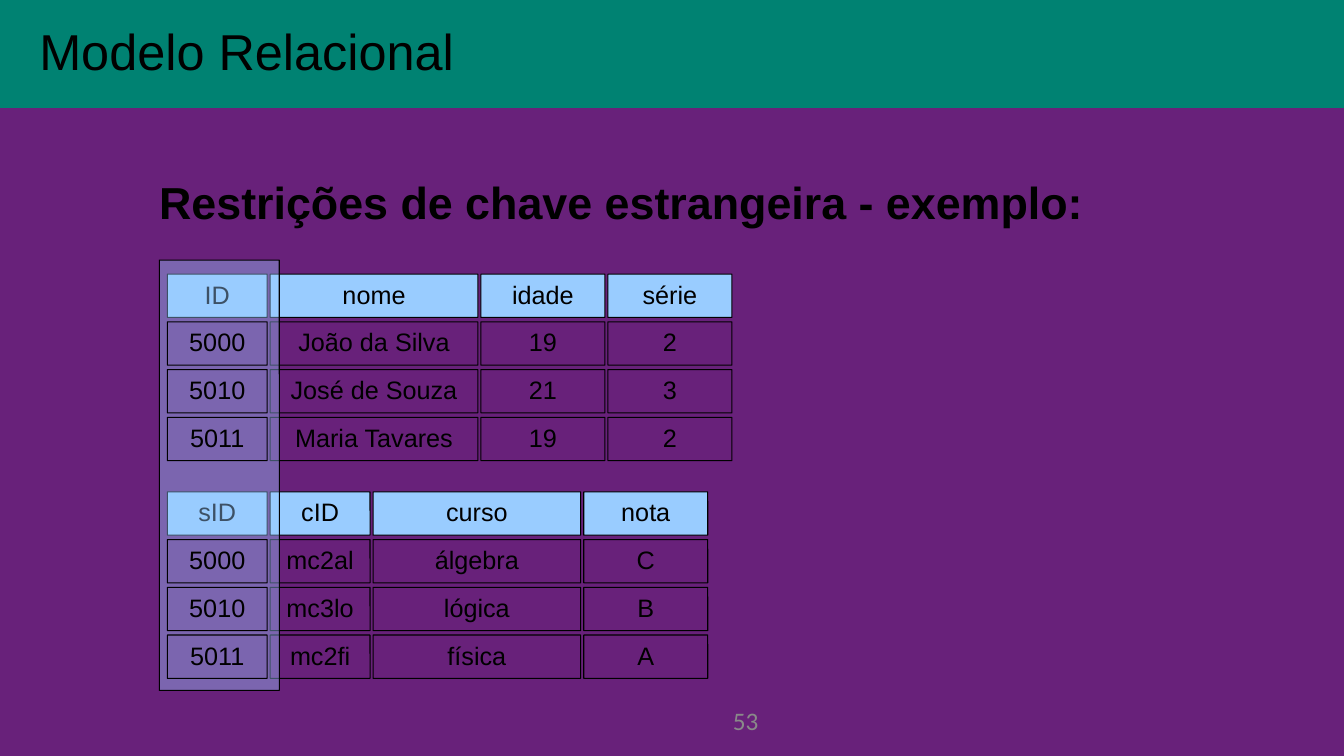
"""Build the slide on foreign key constraints in the relational model."""
from lxml import etree
from pptx import Presentation
from pptx.dml.color import RGBColor
from pptx.enum.shapes import MSO_SHAPE
from pptx.enum.text import MSO_ANCHOR, PP_ALIGN
from pptx.oxml.ns import qn
from pptx.util import Inches, Pt

RECTANGLE = MSO_SHAPE.RECTANGLE
ROUNDED = MSO_SHAPE.ROUNDED_RECTANGLE
LEFT, CENTER = PP_ALIGN.LEFT, PP_ALIGN.CENTER
TOP, MIDDLE = MSO_ANCHOR.TOP, MSO_ANCHOR.MIDDLE

COLORS = {
    "background": "68217A",
    "banner": "008272",
    "header": "99CCFF",
    "text": "000000",
    "line": "000000",
    "number": "898989",
}

TABLE_LEFT = 1.66
COLUMN_GAP = 0.03
CELL_HEIGHT = 0.43
ROW_PITCH = 1.42 / 3

STUDENTS = {
    "top": 2.72,
    "widths": [0.99, 2.06, 1.23, 1.23],
    "rows": [
        ["ID", "nome", "idade", "série"],
        ["5000", "João da Silva", "19", "2"],
        ["5010", "José de Souza", "21", "3"],
        ["5011", "Maria Tavares", "19", "2"],
    ],
}
ENROLMENTS = {
    "top": 4.88,
    "widths": [0.99, 0.99, 2.06, 1.23],
    "rows": [
        ["sID", "cID", "curso", "nota"],
        ["5000", "mc2al", "álgebra", "C"],
        ["5010", "mc3lo", "lógica", "B"],
        ["5011", "mc2fi", "física", "A"],
    ],
}


def rgb(name):
    return RGBColor.from_string(COLORS[name])


def write_text(shape, text, size=18, font="Arial", color="text", bold=False,
               align=LEFT, anchor=TOP, spacing=1.0, margins=(0, 0, 0, 0)):
    frame = shape.text_frame
    frame.word_wrap = True
    frame.vertical_anchor = anchor
    left, top, right, bottom = (Inches(margin) for margin in margins)
    frame.margin_left, frame.margin_top = left, top
    frame.margin_right, frame.margin_bottom = right, bottom
    paragraph = frame.paragraphs[0]
    paragraph.alignment = align
    paragraph.line_spacing = spacing
    run = paragraph.add_run()
    run.text = text
    run.font.size = Pt(size)
    run.font.name = font
    run.font.bold = bold
    run.font.color.rgb = rgb(color)


def add_box(slide, kind, left, top, width, height, fill=None, line=None):
    shape = slide.shapes.add_shape(
        kind, Inches(left), Inches(top), Inches(width), Inches(height))
    shape.shadow.inherit = False
    if fill:
        shape.fill.solid()
        shape.fill.fore_color.rgb = rgb(fill)
    else:
        shape.fill.background()
    if line:
        shape.line.color.rgb = rgb(line)
        shape.line.width = Pt(0.75)
    else:
        shape.line.fill.background()
    if kind == ROUNDED:
        shape.adjustments[0] = 0.004
    return shape


def add_label(slide, text, left, top, width, height, **text_format):
    box = slide.shapes.add_textbox(
        Inches(left), Inches(top), Inches(width), Inches(height))
    write_text(box, text, margins=(0.1, 0.05, 0.1, 0.05), **text_format)


def add_cells(slide, table, in_front):
    """Draw the key values if in_front is true, otherwise all other cells."""
    for row, values in enumerate(table["rows"]):
        left = TABLE_LEFT
        top = table["top"] + row * ROW_PITCH
        for column, (text, width) in enumerate(zip(values, table["widths"])):
            is_key_value = row > 0 and column == 0
            if is_key_value == in_front:
                fill = "header" if row == 0 else None
                cell = add_box(slide, ROUNDED, left, top, width, CELL_HEIGHT,
                               fill=fill, line="line")
                write_text(cell, text, align=CENTER, anchor=MIDDLE,
                           spacing=0.93)
            left += width + COLUMN_GAP


def add_key_highlight(slide):
    highlight = add_box(slide, ROUNDED, 1.58, 2.58, 1.19, 4.27,
                        fill="header", line="line")
    highlight.adjustments[0] = 0.001
    fill_color = highlight.fill._xPr.find(qn("a:solidFill"))[0]
    etree.SubElement(fill_color, qn("a:alpha")).set("val", "40000")


def main():
    presentation = Presentation()
    presentation.slide_width = Inches(13.33)
    presentation.slide_height = Inches(7.5)
    slide = presentation.slides.add_slide(presentation.slide_layouts[6])
    slide.background.fill.solid()
    slide.background.fill.fore_color.rgb = rgb("background")

    banner = add_box(slide, RECTANGLE, 0, 0, 13.33, 1.07, fill="banner")
    write_text(banner, "Modelo Relacional", size=36, anchor=MIDDLE,
               spacing=0.9, margins=(0.39, 0, 0, 0))
    add_label(slide, "Restrições de chave estrangeira - exemplo:",
              1.48, 1.73, 10.57, 0.6, size=32, bold=True, spacing=0.93)

    tables = (STUDENTS, ENROLMENTS)
    for table in tables:
        add_cells(slide, table, in_front=False)
    add_key_highlight(slide)
    for table in tables:
        add_cells(slide, table, in_front=True)

    add_label(slide, "53", 7.17, 6.95, 2.33, 0.4, font="Calibri",
              color="number")
    presentation.save("out.pptx")


if __name__ == "__main__":
    main()
